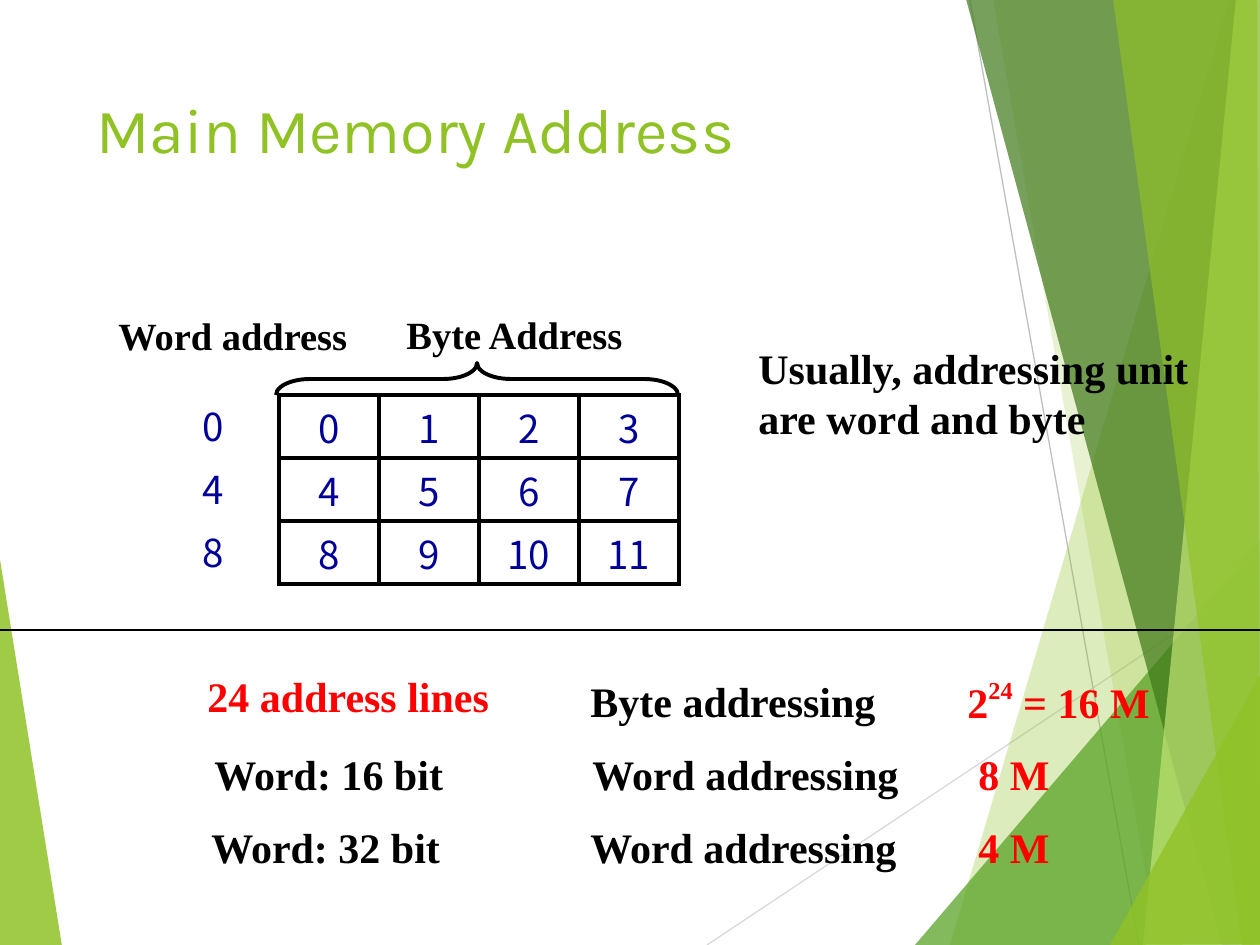
import lxml.etree
import pptx
import pptx.dml.color
import pptx.enum.shapes
import pptx.enum.text
import pptx.oxml.ns
import pptx.util

SCALE = pptx.util.Inches(10) / 1260
SERIF = "Times New Roman"
SANS = "Noto Sans CJK SC"
BLACK, RED, NAVY, LIME = "000000", "FF0000", "000099", "90C226"
ROW, COLUMN = 63, 100
GRID_LEFT, GRID_TOP = 279, 395
BYTE_ADDRESSES = [[0, 1, 2, 3], [4, 5, 6, 7], [8, 9, 10, 11]]

FACETS = [
    ([(-1, 553), (62, 946), (-1, 945)], LIME, 85),
    ([(1229, 0), (950, 945), (1263, 946), (1261, 1)], LIME, 30),
    ([(993, -1), (1158, 945), (1261, 945), (1261, -1)], LIME, 20),
    ([(915, 945), (1260, 541), (1261, 945)], "54A021", 72),
    ([(966, -1), (1222, 945), (1261, 944), (1261, -1)], "3F7819", 70),
    ([(1236, -1), (1143, 945), (1261, 945), (1260, -1)], "C0E474", 70),
    ([(1113, -1), (1242, 945), (1260, 945), (1257, -1)], LIME, 65),
    ([(1110, 945), (1261, 674), (1261, 944)], LIME, 80),
]

LABELS = [
    ("24 address lines", (195, 664, 483, 63), 24, RED),
    ("Byte addressing", (578, 669, 324, 63), 24, BLACK),
    ("Word addressing", (580, 742, 375, 63), 24, BLACK),
    ("Word: 16 bit", (202, 742, 397, 63), 24, BLACK),
    ("Word addressing", (578, 815, 556, 63), 24, BLACK),
    ("Word: 32 bit", (199, 815, 504, 63), 24, BLACK),
    ("Word address", (106, 306, 254, 59), 22, BLACK),
    ("8 M", (966, 742, 284, 63), 24, RED),
    ("4 M", (966, 815, 284, 63), 24, RED),
    ("Usually, addressing unit are word and byte", (746, 336, 483, 115), 24, BLACK),
]


def px(length):
    return pptx.util.Emu(round(length * SCALE))


def rgb(value):
    return pptx.dml.color.RGBColor.from_string(value)


def child(parent, tag, **attributes):
    element = lxml.etree.SubElement(parent, pptx.oxml.ns.qn(tag))
    for name, value in attributes.items():
        element.set(name, str(value))
    return element


def add_run(paragraph, text, font, size, color, bold=False):
    run = paragraph.add_run()
    run.text = text
    run.font.name = font
    run.font.size = pptx.util.Pt(size)
    run.font.bold = bold
    run.font.color.rgb = rgb(color)
    return run


def add_label(slide, box, wrap=True):
    frame = slide.shapes.add_textbox(*map(px, box)).text_frame
    frame.word_wrap = wrap
    frame.auto_size = pptx.enum.text.MSO_AUTO_SIZE.SHAPE_TO_FIT_TEXT
    return frame.paragraphs[0]


def add_number(paragraph, number):
    paragraph.alignment = pptx.enum.text.PP_ALIGN.CENTER
    add_run(paragraph, str(number), SANS, 22, NAVY)


def add_rule(slide, start, end, color):
    rule = slide.shapes.add_connector(
        pptx.enum.shapes.MSO_CONNECTOR.STRAIGHT, *map(px, start + end))
    rule.line.color.rgb = rgb(color)
    rule.line.width = pptx.util.Pt(0.75)
    child(rule._element.spPr, "a:effectLst")


def add_facet(slide, points, color, opacity):
    outline = slide.shapes.build_freeform(*points[0], scale=SCALE)
    outline.add_line_segments(points[1:], close=True)
    facet = outline.convert_to_shape()
    facet.shadow.inherit = False
    facet.fill.solid()
    facet.fill.fore_color.rgb = rgb(color)
    facet.line.fill.background()
    tint = facet._element.spPr.find(".//" + pptx.oxml.ns.qn("a:srgbClr"))
    child(tint, "a:alpha", val=opacity * 1000)


def add_backdrop(slide):
    add_facet(slide, *FACETS[0])
    add_rule(slide, (707, 945), (1261, 576), "D9D9D9")
    add_rule(slide, (970, 0), (1139, 945), "BFBFBF")
    for facet in FACETS[1:]:
        add_facet(slide, *facet)


def place_title(slide):
    title = slide.shapes.title
    title.left, title.top, title.width, title.height = map(px, (84, 84, 874, 181))
    frame = title.text_frame
    frame.vertical_anchor = pptx.enum.text.MSO_ANCHOR.TOP
    frame.paragraphs[0].alignment = pptx.enum.text.PP_ALIGN.LEFT
    add_run(frame.paragraphs[0], "Main Memory Address", "Karla", 36, LIME)
    slide.shapes._spTree.append(title._element)


def add_brace(slide):
    brace = slide.shapes.add_shape(
        pptx.enum.shapes.MSO_SHAPE.LEFT_BRACE, *map(px, (461, 178, 32, 402)))
    brace.rotation = 90
    brace.adjustments[0] = 1.06
    brace.adjustments[1] = 0.5
    brace.shadow.inherit = False
    brace.fill.background()
    brace.line.color.rgb = rgb(BLACK)
    brace.line.width = pptx.util.Pt(2.25)


def format_cell(cell, number):
    cell.margin_left = cell.margin_right = cell.margin_top = cell.margin_bottom = 0
    cell.vertical_anchor = pptx.enum.text.MSO_ANCHOR.MIDDLE
    add_number(cell.text_frame.paragraphs[0], number)
    properties = cell._tc.get_or_add_tcPr()
    for side in "LRTB":
        border = child(properties, f"a:ln{side}", w=pptx.util.Pt(2.25))
        child(child(border, "a:solidFill"), "a:srgbClr", val=BLACK)
    cell.fill.background()


def add_byte_grid(slide):
    rows, columns = len(BYTE_ADDRESSES), len(BYTE_ADDRESSES[0])
    grid = slide.shapes.add_table(
        rows, columns, px(GRID_LEFT), px(GRID_TOP),
        px(columns * COLUMN), px(rows * ROW)).table
    grid.first_row = grid.horz_banding = False
    for row, numbers in enumerate(BYTE_ADDRESSES):
        for column, number in enumerate(numbers):
            format_cell(grid.cell(row, column), number)


def add_word_addresses(slide):
    for row, numbers in enumerate(BYTE_ADDRESSES):
        box = slide.shapes.add_textbox(
            *map(px, (163, GRID_TOP + row * ROW, COLUMN, ROW)))
        box.text_frame.word_wrap = True
        box.text_frame.vertical_anchor = pptx.enum.text.MSO_ANCHOR.MIDDLE
        add_number(box.text_frame.paragraphs[0], numbers[0])


def add_byte_capacity(slide):
    capacity = add_label(slide, (955, 669, 305, 63))
    add_run(capacity, "2", SERIF, 24, RED, True)
    exponent = add_run(capacity, "24", SERIF, 24, RED, True)
    exponent._r.get_or_add_rPr().set("baseline", "45000")
    add_run(capacity, " = 16 M", SERIF, 24, RED, True)


def main():
    deck = pptx.Presentation()
    deck.slide_width, deck.slide_height = px(1260), px(945)
    slide = deck.slides.add_slide(deck.slide_layouts[5])
    add_backdrop(slide)
    place_title(slide)
    for text, box, size, color in LABELS:
        add_run(add_label(slide, box), text, SERIF, size, color, True)
    byte_heading = add_label(slide, (394, 305, 243, 59), wrap=False)
    add_run(byte_heading, "Byte Address", SERIF, 22, BLACK, True)
    add_brace(slide)
    add_byte_grid(slide)
    add_word_addresses(slide)
    add_byte_capacity(slide)
    add_rule(slide, (0, 630), (1260, 630), BLACK)
    deck.save("out.pptx")


if __name__ == "__main__":
    main()
